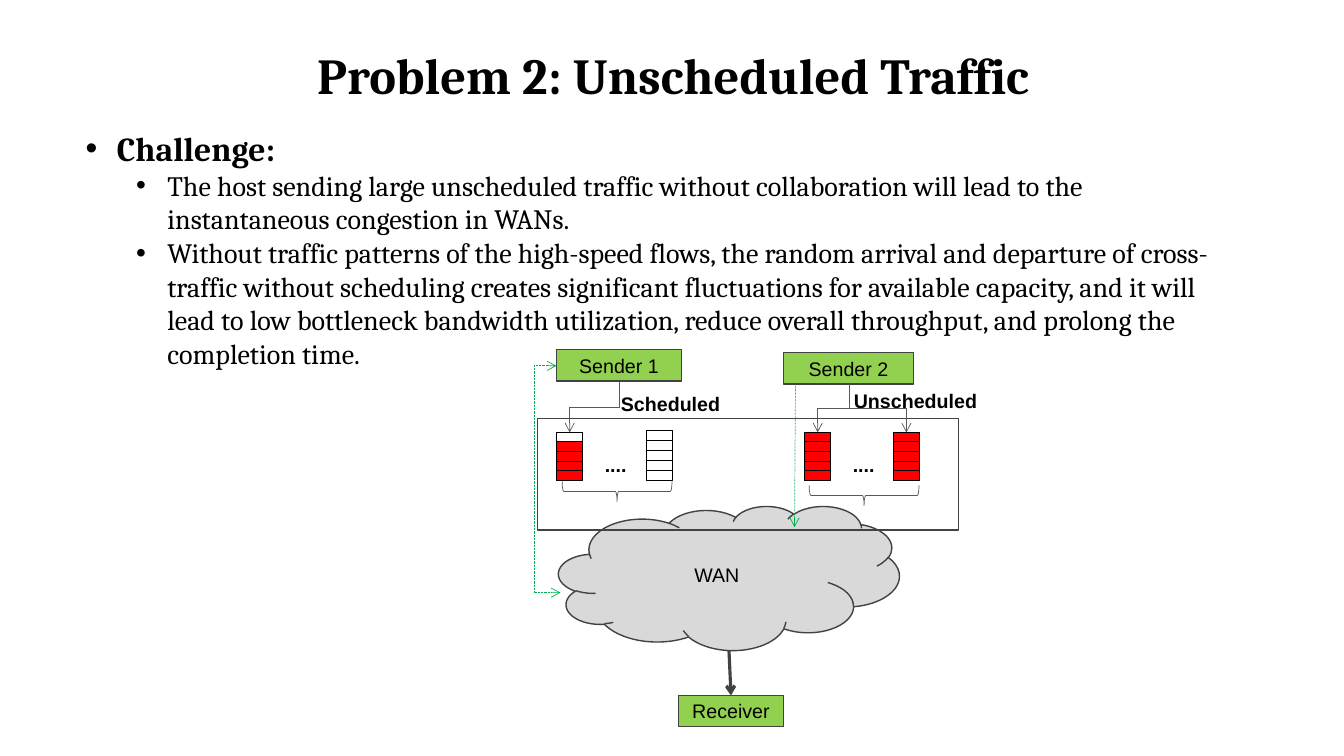
from lxml import etree
from pptx import Presentation
from pptx.dml.color import RGBColor
from pptx.enum.dml import MSO_LINE
from pptx.enum.shapes import MSO_CONNECTOR, MSO_SHAPE
from pptx.enum.text import MSO_ANCHOR, MSO_AUTO_SIZE, PP_ALIGN
from pptx.oxml.ns import qn
from pptx.util import Inches, Pt

RECT, CLOUD, BRACE = MSO_SHAPE.RECTANGLE, MSO_SHAPE.CLOUD, MSO_SHAPE.LEFT_BRACE
LINE, ELBOW = MSO_CONNECTOR.STRAIGHT, MSO_CONNECTOR.ELBOW
CENTER, LEFT = PP_ALIGN.CENTER, PP_ALIGN.LEFT
TOP, MIDDLE = MSO_ANCHOR.TOP, MSO_ANCHOR.MIDDLE
FIXED, DOTS = MSO_AUTO_SIZE.NONE, MSO_LINE.ROUND_DOT
COLORS = {"black": "000000", "dark": "424242", "gray": "595959", "cloud": "D9D9D9",
          "node": "92D050", "full": "FF0000", "flow": "00B050"}


def color(name):
    return RGBColor.from_string(COLORS[name])


class Board:
    serif, sans = "Cambria", "Arial"

    def __init__(self, slide):
        self.slide = slide
        self.shapes = slide.shapes

    def place(self, shape, left, top, width, height):
        shape.left, shape.top = Inches(left), Inches(top)
        shape.width, shape.height = Inches(width), Inches(height)

    def style(self, para, face, size, bold=False, align=LEFT):
        font = para.font
        font.name, font.size, font.bold = face, Pt(size), bold
        font.color.rgb = color("black")
        para.alignment = align
        para.space_before = Pt(0)

    def title(self, text, *area):
        shape = self.shapes.title
        self.place(shape, *area)
        frame = shape.text_frame
        frame.text = text
        frame.auto_size, frame.vertical_anchor = FIXED, MIDDLE
        self.style(frame.paragraphs[0], self.serif, 36, True, CENTER)

    def bullets(self, items, *area):
        shape = self.slide.placeholders[1]
        self.place(shape, *area)
        frame = shape.text_frame
        frame.text = "\n".join(text for level, text in items)
        frame.auto_size, frame.vertical_anchor = FIXED, TOP
        for para, (level, text) in zip(frame.paragraphs, items):
            para.level = level
            self.style(para, self.serif, 20 if level else 24, not level)
            props = para._p.get_or_add_pPr()
            props.set("marL", str(Inches(0.31 + 0.5 * level)))
            props.set("indent", str(Inches(-0.31)))
            etree.SubElement(props, qn("a:buFont")).set("typeface", self.sans)
            etree.SubElement(props, qn("a:buChar")).set("char", "•")

    def shape(self, kind, left, top, width, height, fill=None, line="dark",
              weight=1, text="", turn=0):
        shape = self.shapes.add_shape(kind, 0, 0, 0, 0)
        self.place(shape, left, top, width, height)
        shape.rotation = turn
        shape.shadow.inherit = False
        if fill:
            shape.fill.solid()
            shape.fill.fore_color.rgb = color(fill)
        else:
            shape.fill.background()
        shape.line.color.rgb = color(line)
        shape.line.width = Pt(weight)
        if text:
            frame = shape.text_frame
            frame.text, frame.vertical_anchor = text, MIDDLE
            self.style(frame.paragraphs[0], self.sans, 14, align=CENTER)

    def label(self, text, left, top, width):
        box = self.shapes.add_textbox(Inches(left), Inches(top), Inches(width), Inches(0.34))
        frame = box.text_frame
        frame.word_wrap, frame.text = True, text
        self.style(frame.paragraphs[0], self.sans, 14, True)

    def queue(self, left, top, step, fills):
        for row, fill in enumerate(fills):
            self.shape(RECT, left, top + row * step, 0.26, 0.1, fill, "black", 0.75)

    def arrow(self, kind, start, end, hue, weight, ends=("tailEnd",), dash=None, bend=None):
        link = self.shapes.add_connector(kind, *map(Inches, start + end))
        link.line.color.rgb = color(hue)
        link.line.width = Pt(weight)
        if dash:
            link.line.dash_style = dash
        props = link._element.spPr
        for name in ends:
            etree.SubElement(props.find(qn("a:ln")), qn("a:" + name)).set("type", "arrow")
        etree.SubElement(props, qn("a:effectLst"))
        if bend:
            guides = props.find(qn("a:prstGeom")).find(qn("a:avLst"))
            guide = etree.SubElement(guides, qn("a:gd"))
            guide.set("name", "adj1")
            guide.set("fmla", f"val {round(bend * 100000)}")
        return link

    def drop(self, start, end):
        """Elbow that leaves downwards: a level elbow turned by 90 degrees."""
        (x1, y1), (x2, y2) = start, end
        midx, midy = (x1 + x2) / 2, (y1 + y2) / 2
        half, rise = (y2 - y1) / 2, (x1 - x2) / 2
        link = self.arrow(ELBOW, (midx - half, midy - rise), (midx + half, midy + rise),
                          "gray", 0.5)
        link._element.spPr.find(qn("a:xfrm")).set("rot", str(90 * 60000))


def main():
    deck = Presentation()
    deck.slide_width, deck.slide_height = Inches(13.33), Inches(7.5)
    board = Board(deck.slides.add_slide(deck.slide_layouts[1]))

    # Title and list
    board.title("Problem 2: Unscheduled Traffic ", 0.68, 0.38, 12.1, 0.71)
    board.bullets([
        (0, "Challenge:"),
        (1, "The host sending large unscheduled traffic without collaboration will lead "
            "to the instantaneous congestion in WANs."),
        (1, "Without traffic patterns of the high-speed flows, the random arrival and "
            "departure of cross-traffic without scheduling creates significant fluctuations "
            "for available capacity, and it will lead to low bottleneck bandwidth "
            "utilization, reduce overall throughput, and prolong the completion time."),
    ], 0.75, 1.22, 11.39, 2.52)

    # Network, queue area and hosts
    board.shape(CLOUD, 5.54, 5.02, 3.38, 1.43, "cloud", text="WAN")
    board.shape(RECT, 5.33, 4.15, 4.18, 1.11)
    for name, left, top, width in (("Receiver", 6.73, 6.9, 1.04),
                                   ("Sender 1", 5.52, 3.47, 1.24),
                                   ("Sender 2", 7.77, 3.5, 1.29)):
        board.shape(RECT, left, top, width, 0.31, "node", text=name)

    # Queues
    board.queue(5.52, 4.29, 0.095, [None] + ["full"] * 4)
    board.queue(6.41, 4.27, 0.1, [None] * 5)
    for left in (7.98, 8.86):
        board.queue(left, 4.29, 0.095, ["full"] * 5)

    # Dots and braces under each pair of queues
    for dots, brace, top in ((5.9, 6.02, 4.33), (8.36, 8.47, 4.37)):
        board.label("....", dots, 4.44, 0.57)
        board.shape(BRACE, brace, top, 0.2, 1.09, line="gray", weight=0.5, turn=270)
    board.label("Scheduled", 6.06, 3.84, 1.24)
    board.label("Unscheduled", 8.37, 3.81, 1.56)

    # Arrows
    board.arrow(LINE, (7.23, 6.45), (7.25, 6.9), "dark", 2.25)
    board.drop((6.14, 3.79), (5.65, 4.29))
    for goal in (8.99, 8.11):
        board.drop((8.42, 3.81), (goal, 4.29))
    board.arrow(ELBOW, (5.56, 5.88), (5.52, 3.63), "flow", 0.5,
                ("headEnd", "tailEnd"), DOTS, 6.5)
    board.arrow(LINE, (7.88, 5.23), (7.89, 3.81), "flow", 0.5, ("headEnd",), DOTS)

    deck.save("out.pptx")


if __name__ == "__main__":
    main()
